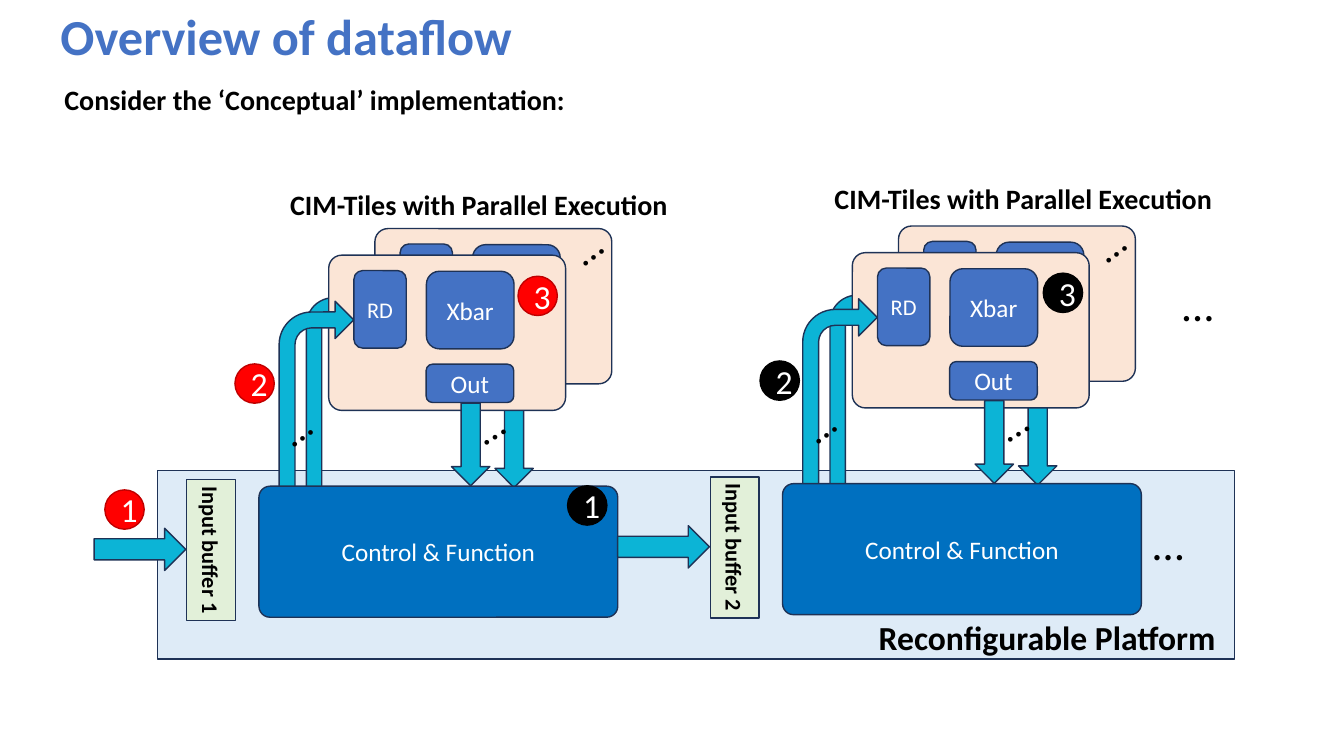
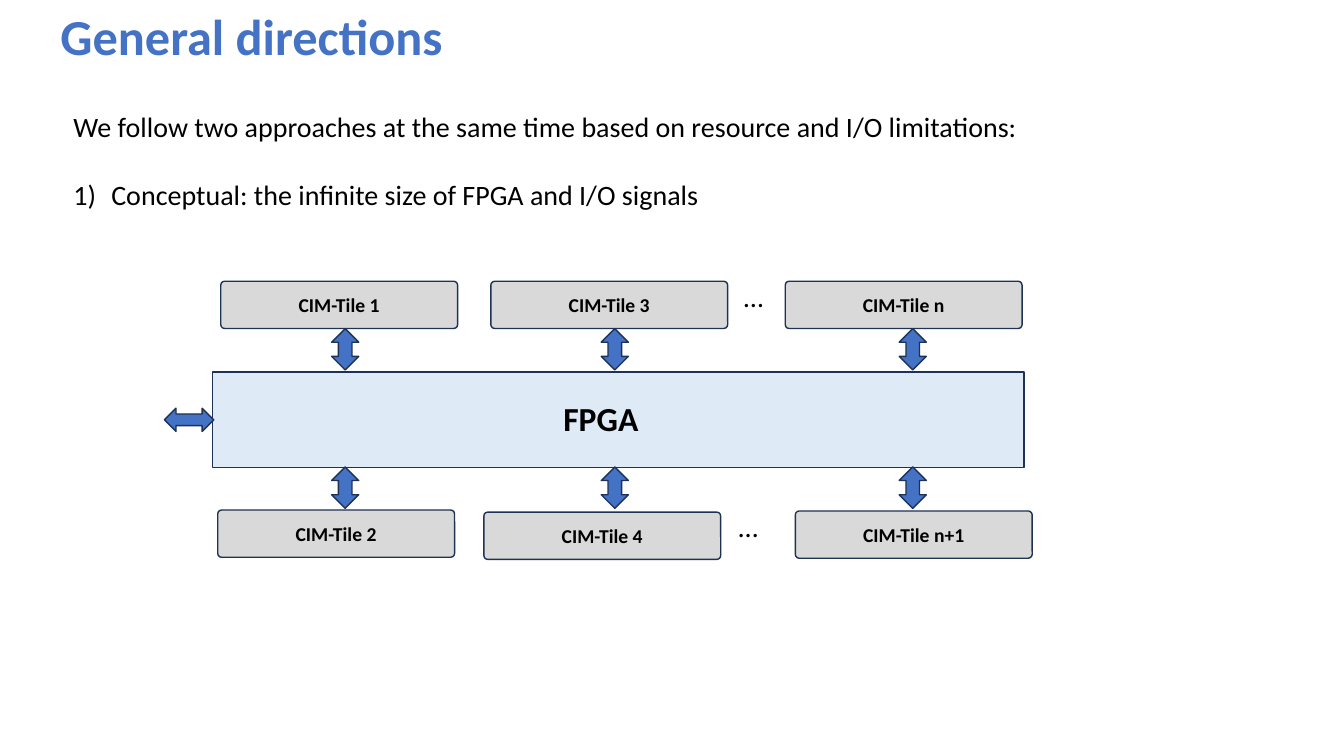
"""Builds two slides on the dataflow and general directions of a tiled in-memory computing platform."""
from lxml import etree
from pptx import Presentation
from pptx import util as u
from pptx.dml.color import RGBColor
from pptx.enum import shapes, text
from pptx.oxml import ns

FONT = "Calibri"
BLUE, NAVY, CYAN, CONTROL = "4472C4", "1E3256", "0CB4D6", "0070C0"
SKY, PEACH, MINT, GREY = "DEEBF7", "FBE5D6", "E2F0D9", "D9D9D9"
RED, DARK_RED, BLACK, WHITE = "FF0000", "C00000", "000000", "FFFFFF"
KIND = shapes.MSO_SHAPE
ALIGN = text.PP_ALIGN
ANCHOR = text.MSO_ANCHOR
SMALL_RADIUS = [0.084]

STAGES = [(0, 0, "Input buffer 1"), (374, -1.8, "Input buffer 2")]
TILE_SIZE = (169.2, 110.9)
TILE_PARTS = [
    ("RD", (18, 11, 37.4, 55.4), 16),
    ("Xbar", (69.8, 11.5, 62.6, 55.4), 18),
    ("Out", (69.6, 77.8, 62.6, 27.4), 18),
]
STAGE_DOTS = [(401.8, 155.5, 323.3), (331.9, 283.7, 328), (194.4, 285.1, 323.3)]
HEADING = "CIM-Tiles with Parallel Execution"
HEADING_SPOTS = [(200.2, 130.3), (589, 126)]
MORE_STAGES = [(816.5, 365), (837.4, 194.4)]
BADGES = [
    (RED, DARK_RED, [(74.9, 349.9), (167.8, 259.9), (370, 197.3)]),
    (BLACK, BLACK, [(405.4, 347), (542.9, 257.8), (745.2, 195.1)]),
]

INTRO = "We follow two approaches at the same time based on resource and I/O limitations:"
APPROACH = "Conceptual: the infinite size of FPGA and I/O signals"
TILES = [
    ("CIM-Tile 1", 157.7, 200.9), ("CIM-Tile 3", 350.6, 200.9), ("CIM-Tile n", 560.9, 200.9),
    ("CIM-Tile 2", 155.5, 364.3), ("CIM-Tile 4", 345.6, 365.8), ("CIM-Tile n+1", 568.1, 365),
]
LINK_COLUMNS = (231.8, 424.4, 637.2)
LINK_ROWS = (239.8, 338.6)
TILE_GAPS = [(524.2, 195.8), (520.6, 360.7)]


def rgb(value):
    return RGBColor.from_string(value)


def write(frame, words, size=18, color=BLACK, bold=False, align=ALIGN.LEFT,
          anchor=ANCHOR.TOP, wrap=True):
    frame.word_wrap = wrap
    frame.auto_size = text.MSO_AUTO_SIZE.NONE
    frame.vertical_anchor = anchor
    for index, line in enumerate(words.split("\n")):
        para = frame.add_paragraph() if index else frame.paragraphs[0]
        para.alignment = align
        span = para.add_run()
        span.text = line
        span.font.name, span.font.size, span.font.bold = FONT, u.Pt(size), bold
        span.font.color.rgb = rgb(color)


def label(parts, at, words, rotation=0, **style):
    box = parts.add_textbox(*map(u.Pt, at))
    box.rotation = rotation
    write(box.text_frame, words, **style)
    return box


def draw(parts, kind, at, fill, line=NAVY, words="", rotation=0, adjust=(), **style):
    box = parts.add_shape(kind, *map(u.Pt, at))
    box.shadow.inherit = False
    box.fill.solid()
    box.fill.fore_color.rgb = rgb(fill)
    box.line.color.rgb = rgb(line)
    box.line.width = u.Pt(1)
    box.rotation = rotation
    for index, value in enumerate(adjust):
        box.adjustments[index] = value
    if words:
        centred = {"color": WHITE, "align": ALIGN.CENTER, "anchor": ANCHOR.MIDDLE}
        write(box.text_frame, words, **(centred | style))


def add_page(deck, title):
    page = deck.slides.add_slide(deck.slide_layouts[5])
    box = page.shapes.title
    box.left, box.top, box.width, box.height = map(u.Pt, (36, 0, 924, 51.1))
    write(box.text_frame, title, size=36, color=BLUE, bold=True)
    return page


def draw_tile(page, left, top, contents):
    parts = page.shapes.add_group_shape().shapes
    draw(parts, KIND.ROUNDED_RECTANGLE, (left, top, *TILE_SIZE), PEACH, adjust=SMALL_RADIUS)
    for words, (x, y, width, height), size in contents:
        draw(parts, KIND.ROUNDED_RECTANGLE, (left + x, top + y, width, height), BLUE,
             words=words, size=size)


def draw_stage(page, dx, dy, buffer_name):
    parts = page.shapes

    def place(x, y, width, height):
        return x + dx, y + dy, width, height

    draw(parts, KIND.BENT_ARROW, place(218.9, 207.2, 43.9, 144), CYAN)
    draw_tile(page, 267.8 + dx, 163.3 + dy, TILE_PARTS[:2])
    draw(parts, KIND.RECTANGLE, place(100.3, 375.5, 100.8, 34.6), MINT, words=buffer_name,
         rotation=90, size=16, color=BLACK, bold=True, wrap=False)
    draw(parts, KIND.RIGHT_ARROW, place(67.2, 377.3, 65.5, 30.2), CYAN)
    draw(parts, KIND.DOWN_ARROW, place(353.5, 279.2, 27.4, 69.1), CYAN)
    draw_tile(page, 234.8 + dx, 182.3 + dy, TILE_PARTS)
    draw(parts, KIND.DOWN_ARROW, place(322.5, 288, 27.4, 59), CYAN)
    draw(parts, KIND.BENT_ARROW, place(199.4, 215.2, 53.3, 136.8), CYAN,
         adjust=(0.213, 0.25, 0.25, 0.438))
    draw(parts, KIND.ROUNDED_RECTANGLE, place(185, 347.3, 256.3, 93.6), CONTROL,
         words="Control & Function", adjust=SMALL_RADIUS)
    for x, y, angle in STAGE_DOTS:
        label(parts, place(x, y, 33.8, 41), "…", rotation=angle, size=28, wrap=False)


def build_dataflow(deck):
    page = add_page(deck, "Overview of dataflow")
    parts = page.shapes
    draw(parts, KIND.RECTANGLE, (112.3, 336.2, 769.7, 134.6), SKY)
    for stage in STAGES:
        draw_stage(page, *stage)
    label(parts, (620.6, 437, 344.2, 36), "Reconfigurable Platform", size=24, bold=True)
    label(parts, (38.9, 55.4, 480, 31.7), "Consider the ‘Conceptual’ implementation:",
          size=20, bold=True)
    for x, y in HEADING_SPOTS:
        label(parts, (x, y, 288, 31.7), HEADING, size=20, bold=True, wrap=False)
    for x, y in MORE_STAGES:
        label(parts, (x, y, 36.7, 46), "…", size=32, wrap=False)
    for fill, line, spots in BADGES:
        for number, (x, y) in enumerate(spots, 1):
            draw(parts, KIND.OVAL, (x, y, 28.1, 28.1), fill, line, words=str(number), size=24)


def build_directions(deck):
    page = add_page(deck, "General directions")
    box = label(page.shapes, (45.4, 74.9, 694.8, 225.4), f"{INTRO}\n{APPROACH}", size=20)
    intro, approach = box.text_frame.paragraphs
    intro.space_after = u.Pt(24.4)
    numbering = approach._p.get_or_add_pPr()
    numbering.set("marL", str(u.Pt(27)))
    numbering.set("indent", str(u.Pt(-27)))
    etree.SubElement(numbering, ns.qn("a:buAutoNum"), type="arabicParenR")

    parts = page.shapes.add_group_shape().shapes
    draw(parts, KIND.RECTANGLE, (151.9, 265.7, 579.6, 68.4), SKY)
    label(parts, (395.3, 280.8, 94.3, 42.5), "FPGA", size=24, bold=True, wrap=False)
    for words, x, y in TILES:
        draw(parts, KIND.ROUNDED_RECTANGLE, (x, y, 169.2, 33.8), GREY, words=words,
             adjust=SMALL_RADIUS, size=14, color=BLACK, bold=True)
    for x, y in TILE_GAPS:
        label(parts, (x, y, 38.9, 36.7), "…", size=20, wrap=False)
    for y in LINK_ROWS:
        for x in LINK_COLUMNS:
            draw(parts, KIND.LEFT_RIGHT_ARROW, (x, y, 29.5, 19.4), BLUE, rotation=90)
    draw(parts, KIND.LEFT_RIGHT_ARROW, (117.4, 291.6, 35.3, 16.6), BLUE)


def main():
    deck = Presentation()
    deck.slide_width, deck.slide_height = u.Pt(960), u.Pt(540)
    build_dataflow(deck)
    build_directions(deck)
    deck.save("out.pptx")


if __name__ == "__main__":
    main()
